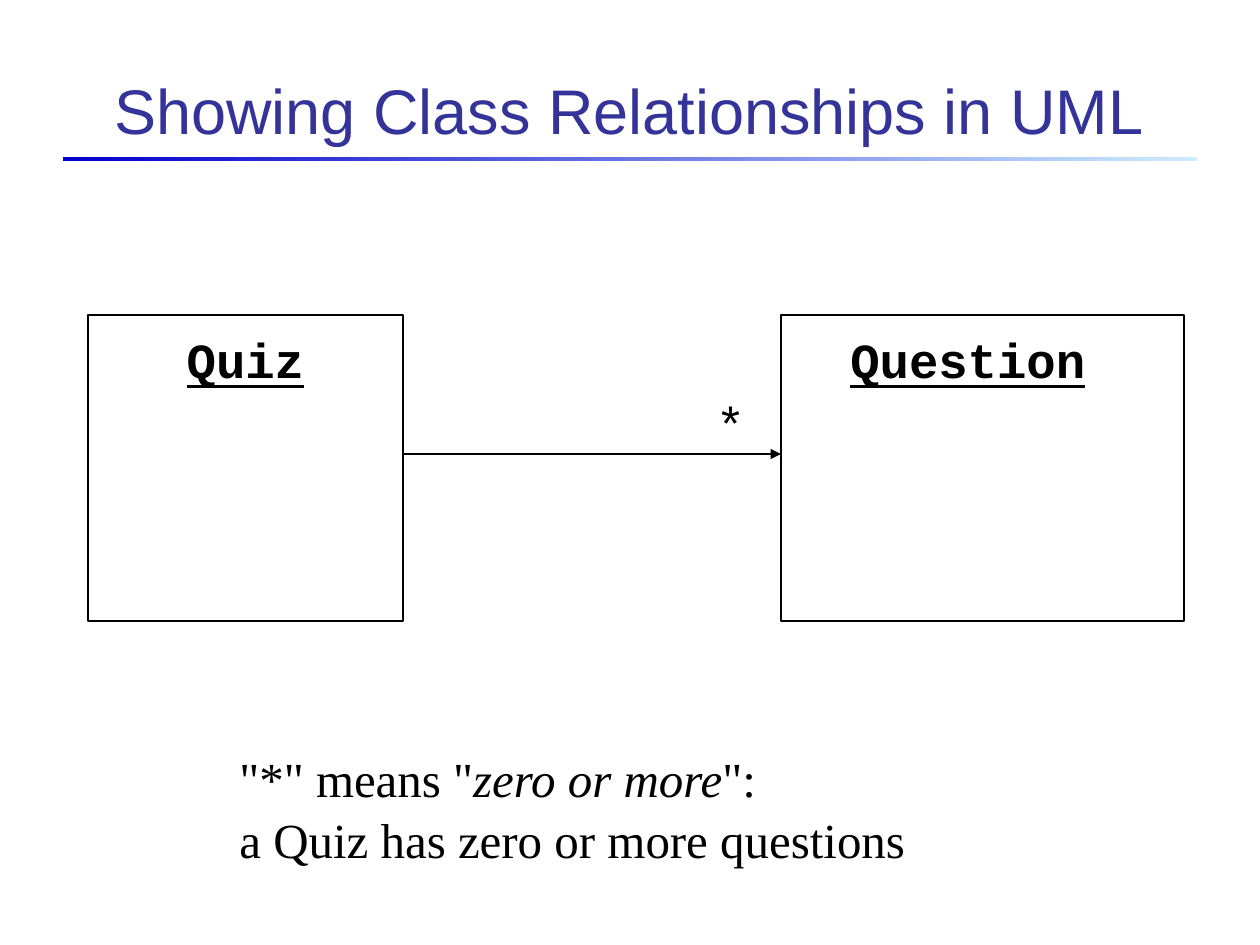
from lxml import etree
from pptx import Presentation
from pptx import util as u
from pptx.dml.color import RGBColor
from pptx.enum import shapes, text
from pptx.oxml.ns import qn


def px(*lengths):
    """Turn whole px (126 to the inch) into EMU lengths."""
    return [u.Emu(round(length * 914400 / 126)) for length in lengths]


def colour(value):
    """Return the colour of a hex string."""
    return RGBColor.from_string(value)


def style(paragraph, face, size, shade="000000", align=text.PP_ALIGN.CENTER):
    """Set the font and alignment of a paragraph."""
    paragraph.alignment = align
    paragraph.font.name = face
    paragraph.font.size = u.Pt(size)
    paragraph.font.color.rgb = colour(shade)


def add_title(slide, wording):
    """Fill and place the title placeholder."""
    heading = slide.shapes.title
    heading.left, heading.top, heading.width, heading.height = px(84, 35, 1090, 118)
    heading.text_frame.text = wording
    heading.text_frame.vertical_anchor = text.MSO_ANCHOR.BOTTOM
    style(heading.text_frame.paragraphs[0], "Arial", 36, "333399")


def add_rule(slide):
    """Draw the gradient rule under the title."""
    rule = slide.shapes.add_shape(shapes.MSO_SHAPE.RECTANGLE, *px(63, 157, 1134, 4))
    rule.shadow.inherit = False
    rule.line.fill.background()
    rule.fill.gradient()
    rule.fill.gradient_angle = 0
    for stop, shade in zip(rule.fill.gradient_stops, ("0000CC", "CCECFF")):
        stop.color.rgb = colour(shade)


def add_class(slide, name, left, width):
    """Draw a class box headed by its underlined name."""
    box = slide.shapes.add_shape(shapes.MSO_SHAPE.RECTANGLE, *px(left, 315, width, 306))
    box.shadow.inherit = False
    box.fill.background()
    box.line.color.rgb = colour("000000")
    box.line.width = u.Pt(0.75)
    frame = box.text_frame
    frame.vertical_anchor = text.MSO_ANCHOR.TOP
    frame.margin_top, = px(15)
    heading = frame.paragraphs[0]
    style(heading, "Courier New", 28)
    word, gap, _ = name.partition(" ")
    label = heading.add_run()
    label.text = word
    label.font.bold = label.font.underline = True
    if gap:
        heading.add_run().text = gap


def add_association(slide, start, end, y):
    """Draw an arrow from one class to the other."""
    arrow = slide.shapes.add_connector(shapes.MSO_CONNECTOR.STRAIGHT, *px(start, y, end, y))
    arrow.line.color.rgb = colour("000000")
    arrow.line.width = u.Pt(0.75)
    etree.SubElement(arrow.line._get_or_add_ln(), qn("a:tailEnd"), type="triangle")
    etree.SubElement(arrow._element.spPr, qn("a:effectLst"))


def add_text(slide, place):
    """Add a wrapping text box and return its first paragraph."""
    frame = slide.shapes.add_textbox(*px(*place)).text_frame
    frame.word_wrap = True
    return frame.paragraphs[0]


def add_multiplicity(slide, symbol):
    """Write the multiplicity above the arrowhead."""
    multiplicity = add_text(slide, (680, 387, 101, 72))
    multiplicity.text = symbol
    style(multiplicity, "Courier New", 28)


def add_explanation(slide):
    """Explain the multiplicity under the diagram."""
    explanation = add_text(slide, (227, 740, 743, 130))
    style(explanation, "Times New Roman", 28, align=text.PP_ALIGN.LEFT)
    explanation.line_spacing = 1.04
    explanation.add_run().text = '"*" means "'
    meaning = explanation.add_run()
    meaning.text = "zero or more"
    meaning.font.italic = True
    explanation.add_run().text = '":'
    explanation.add_line_break()
    explanation.add_run().text = "a Quiz has zero or more questions"


def main():
    """Build the slide and save it."""
    deck = Presentation()
    deck.slide_width, deck.slide_height = px(1260, 945)
    slide = deck.slides.add_slide(deck.slide_layouts[5])
    add_rule(slide)
    add_title(slide, "Showing Class Relationships in UML")
    add_class(slide, "Quiz", 88, 315)
    add_class(slide, "Question ", 781, 403)
    add_association(slide, 403, 781, 454)
    add_multiplicity(slide, "*")
    add_explanation(slide)
    deck.save("out.pptx")


if __name__ == "__main__":
    main()
